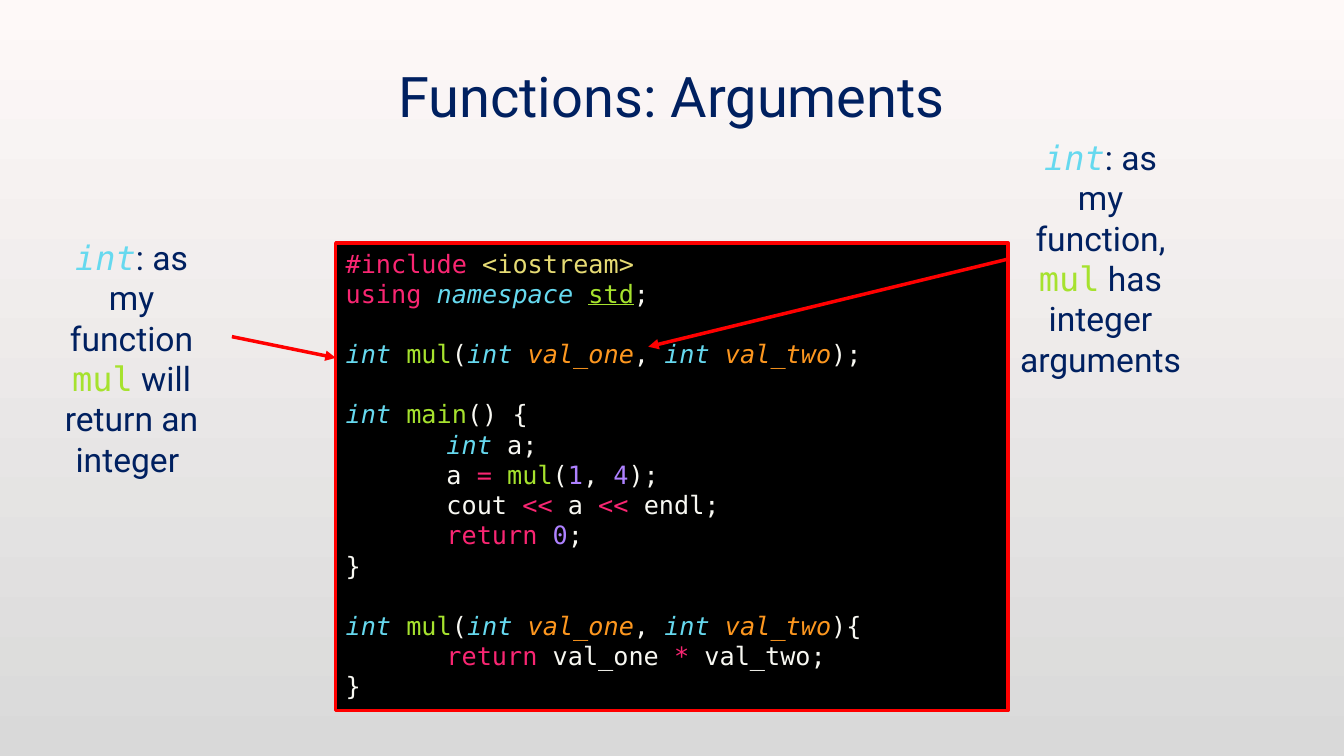
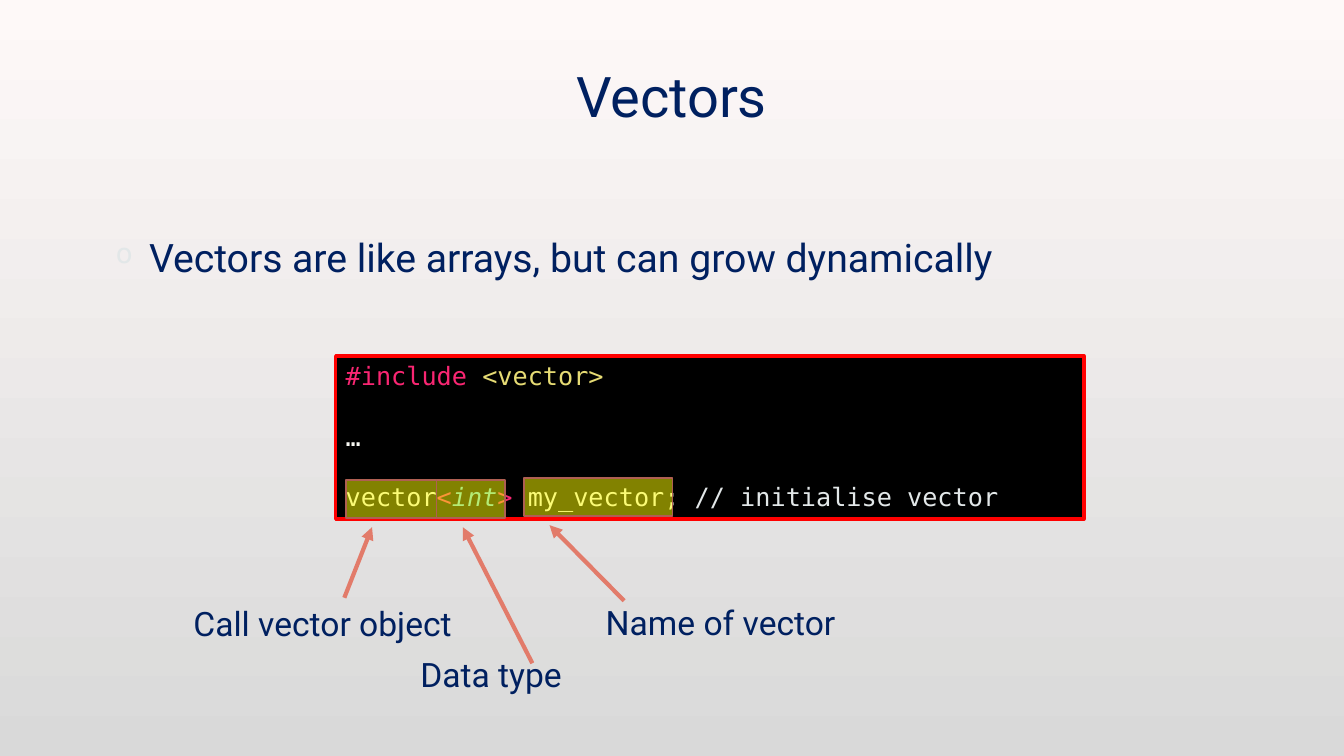
from lxml import etree
from pptx import Presentation
from pptx import util as u
from pptx.dml.color import RGBColor
from pptx.enum import shapes, text
from pptx.oxml import ns

# Palette and fonts
NAVY, RED, CORAL = "002060", "FF0000", "E27B6A"
BODY, MONO = "Roboto", "DejaVu Sans Mono"
CODE_BLANK = 21.5  # height of one empty code line, in points

# Syntax styles: colour, italic, underline
SYNTAX = {
    "plain": ("F8F8F2", False, False),
    "keyword": ("F92672", False, False),
    "string": ("E6DB74", False, False),
    "type": ("66D9EF", True, False),
    "name": ("A6E22E", False, False),
    "space": ("A6E22E", False, True),
    "argument": ("FD971F", True, False),
    "number": ("AE81FF", False, False),
    "comment": ("E2E7E8", False, False),
}


def color(value):
    return RGBColor.from_string(value)


def add_xml(parent, tag, index=None, **attributes):
    child = etree.Element(ns.qn(tag), attributes)
    parent.insert(len(parent) if index is None else index, child)
    return child


def add_solid(parent, value, alpha):
    solid = add_xml(parent, "a:solidFill")
    add_xml(add_xml(solid, "a:srgbClr", val=value), "a:alpha", val=str(alpha * 1000))


def add_span(para, content, size=24, font=BODY, fill=NAVY, italic=False,
             underline=False, raised=False):
    span = para.add_run()
    span.text = content
    span.font.size = u.Pt(size)
    span.font.name = font
    span.font.color.rgb = color(fill)
    span.font.italic = italic
    span.font.underline = underline
    if raised:  # faint outline and soft shadow
        props = span._r.get_or_add_rPr()
        add_solid(add_xml(props, "a:ln", 0, w="9525"), "404040", 10)
        effects = add_xml(props, "a:effectLst", 2)
        shadow = add_xml(effects, "a:outerShdw", blurRad="38100", dist="38100",
                         dir="2700000", algn="tl")
        add_xml(add_xml(shadow, "a:srgbClr", val="000000"), "a:alpha", val="43000")
    return span


def add_code_span(para, content, style, size=18):
    fill, italic, underline = SYNTAX[style]
    return add_span(para, content, size, MONO, fill, italic, underline)


class Slides:
    def __init__(self):
        self.deck = Presentation()
        self.deck.slide_width = u.Inches(13.33)
        self.deck.slide_height = u.Inches(7.5)
        self.page = None
        # Shared background
        fill = self.deck.slide_master.background.fill
        fill.gradient()
        fill.gradient_angle = 270
        for stop, position, value in zip(fill.gradient_stops, (0, 1), ("FEF9F8", "D9D9D9")):
            stop.position = position
            stop.color.rgb = color(value)

    def add_page(self, title):
        self.page = self.deck.slides.add_slide(self.deck.slide_layouts[6])
        box = self.text_box(1, 0.25, 11.32, 1.38)
        box.text_frame.vertical_anchor = text.MSO_ANCHOR.MIDDLE
        para = box.text_frame.paragraphs[0]
        para.alignment = text.PP_ALIGN.CENTER
        add_span(para, title, 40, raised=True)

    def text_box(self, *place):
        box = self.page.shapes.add_textbox(*map(u.Inches, place))
        box.text_frame.word_wrap = True
        return box

    def label(self, content, *place):
        box = self.text_box(*place)
        add_span(box.text_frame.paragraphs[0], content)
        return box

    def callout(self, left, top, before, after):
        """Centred note: a type, some words, a function name, more words."""
        box = self.text_box(left, top, 1.83, 2.52)
        para = box.text_frame.paragraphs[0]
        para.alignment = text.PP_ALIGN.CENTER
        add_code_span(para, "int", "type", 24)
        add_span(para, before)
        add_code_span(para, "mul", "name", 24)
        add_span(para, after)
        return box

    def bullet(self, content, *place):
        para = self.text_box(*place).text_frame.paragraphs[0]
        props = para._p.get_or_add_pPr()
        props.set("marL", str(u.Inches(0.38)))
        props.set("indent", str(u.Inches(-0.33)))
        add_xml(add_xml(props, "a:buClr"), "a:srgbClr", val="E2E7E8")
        add_xml(props, "a:buSzPct", val="70000")
        add_xml(props, "a:buChar", char="o")
        para.space_after = u.Pt(6)
        add_span(para, content, 28, raised=True)

    def rectangle(self, place, fill, line, width):
        box = self.page.shapes.add_shape(shapes.MSO_SHAPE.RECTANGLE, *map(u.Inches, place))
        box.shadow.inherit = False
        box.fill.solid()
        box.fill.fore_color.rgb = color(fill)
        box.line.color.rgb = color(line)
        box.line.width = u.Pt(width)
        return box

    def code(self, place, lines):
        """Code panel; an empty line becomes space before the next one."""
        frame = self.rectangle(place, "000000", RED, 2.5).text_frame
        frame.word_wrap = True
        frame.vertical_anchor = text.MSO_ANCHOR.TOP
        para, blank = frame.paragraphs[0], False
        for number, line in enumerate(lines):
            if not line:
                blank = True
                continue
            if number:
                para = frame.add_paragraph()
            tabs = add_xml(para._p.get_or_add_pPr(), "a:tabLst")
            add_xml(tabs, "a:tab", pos=str(u.Inches(1)), algn="l")
            para.alignment = text.PP_ALIGN.LEFT
            if blank:
                para.space_before = u.Pt(CODE_BLANK)
            blank = False
            for content, style in line:
                add_code_span(para, content, style)

    def highlight(self, *place):
        box = self.rectangle(place, "FFFF00", "AF5F52", 1.25)
        value = box.element.spPr.find(ns.qn("a:solidFill"))[0]
        add_xml(value, "a:alpha", val="51000")

    def arrow(self, start, end, fill, width, source=None, side=0):
        line = self.page.shapes.add_connector(
            shapes.MSO_CONNECTOR.STRAIGHT, *map(u.Inches, start + end))
        if source is not None:
            line.begin_connect(source, side)
        line.line.color.rgb = color(fill)
        line.line.width = u.Pt(width)
        add_xml(line.line._get_or_add_ln(), "a:tailEnd", type="triangle")
        add_xml(line.element.spPr, "a:effectLst")


def arguments_page(slides):
    slides.add_page("Functions: Arguments")
    signature = [
        ("int ", "type"), ("mul", "name"), ("(", "plain"),
        ("int ", "type"), ("val_one", "argument"), (", ", "plain"),
        ("int ", "type"), ("val_two", "argument"),
    ]
    slides.code((3.33, 2.41, 6.67, 4.64), [
        [("#include ", "keyword"), ("<iostream>", "string")],
        [("using ", "keyword"), ("namespace ", "type"), ("std", "space"), (";", "plain")],
        [],
        signature + [(");", "plain")],
        [],
        [("int ", "type"), ("main", "name"), ("() {", "plain")],
        [("\tint", "type"), (" a;", "plain")],
        [("\ta ", "plain"), ("= ", "keyword"), ("mul", "name"), ("(", "plain"),
         ("1", "number"), (", ", "plain"), ("4", "number"), (");", "plain")],
        [("\tcout ", "plain"), ("<<", "keyword"), (" a ", "plain"),
         ("<< ", "keyword"), ("endl;", "plain")],
        [("\treturn ", "keyword"), ("0", "number"), (";", "plain")],
        [("}", "plain")],
        [],
        signature + [("){", "plain")],
        [("\treturn ", "keyword"), ("val_one ", "plain"), ("* ", "keyword"),
         ("val_two;", "plain")],
        [("}", "plain")],
    ])
    # Notes on the return type and the arguments
    slides.callout(0.39, 2.3, ": as my function ", " will return an integer ")
    slides.arrow((2.3, 3.34), (3.33, 3.55), RED, 2.5)
    note = slides.callout(10, 1.31, ": as my function, ", " has integer arguments")
    slides.arrow((10, 2.57), (6.43, 3.44), RED, 2.5, note, 1)


def vectors_page(slides):
    slides.add_page("Vectors")
    slides.bullet("Vectors are like arrays, but can grow dynamically", 1, 2.27, 9.44, 0.94)
    slides.code((3.33, 3.53, 7.42, 1.62), [
        [("#include ", "keyword"), ("<vector>", "string")],
        [],
        [("…", "plain")],
        [],
        [("vector", "plain"), ("<", "keyword"), ("int", "type"), ("> ", "keyword"),
         ("my_vector; ", "plain"), ("// initialise vector", "comment")],
    ])
    # Highlighted parts of the declaration
    for left, top, width in ((3.43, 4.76, 0.9), (4.33, 4.76, 0.68), (5.2, 4.74, 1.47)):
        slides.highlight(left, top, width, 0.38)
    # Labels and their arrows
    call = slides.label("Call vector object", 1.82, 5.93, 3.19, 0.5)
    slides.label("Data type", 4.07, 6.44, 3.19, 0.5)
    slides.label("Name of vector", 5.91, 5.92, 2.87, 0.5)
    slides.arrow((3.41, 5.96), (3.69, 5.23), CORAL, 3, call, 0)
    slides.arrow((5.28, 6.58), (4.59, 5.23), CORAL, 3)
    slides.arrow((6.19, 5.96), (5.45, 5.21), CORAL, 3)


def main():
    slides = Slides()
    arguments_page(slides)
    vectors_page(slides)
    slides.deck.save("out.pptx")


if __name__ == "__main__":
    main()
